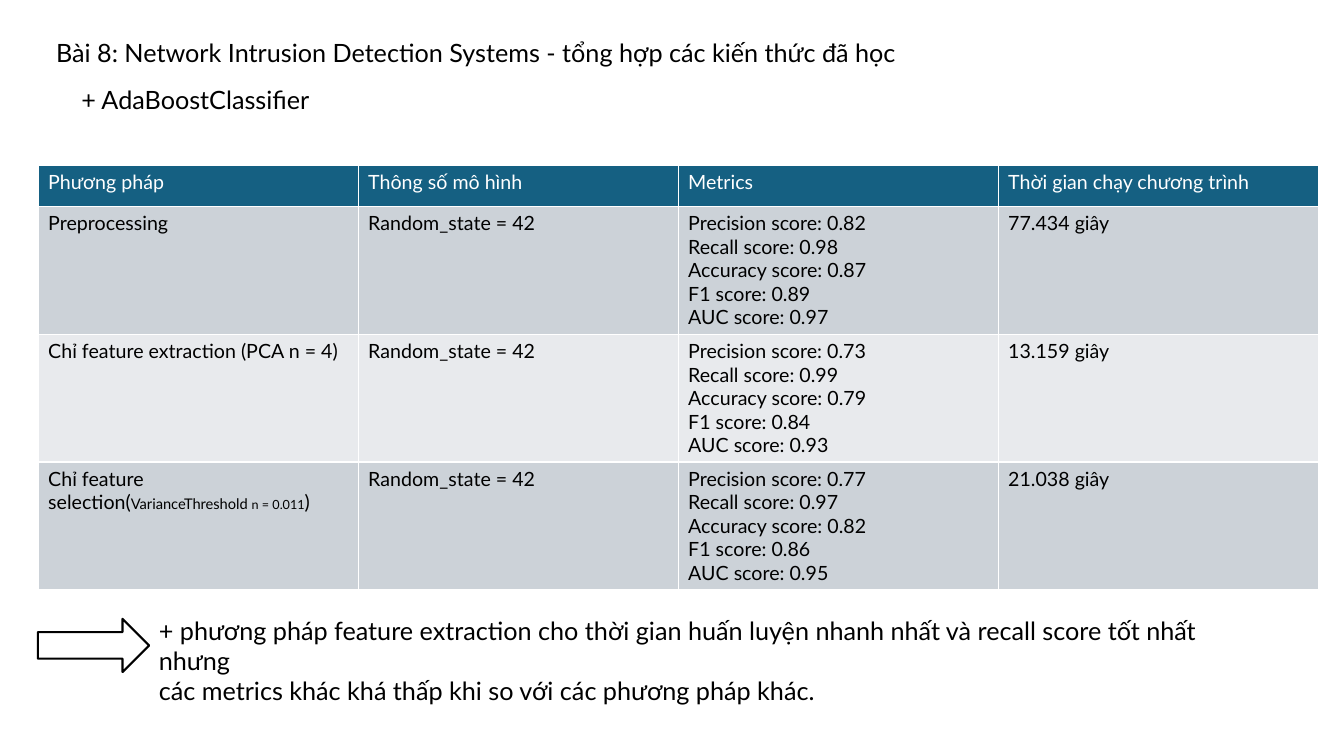
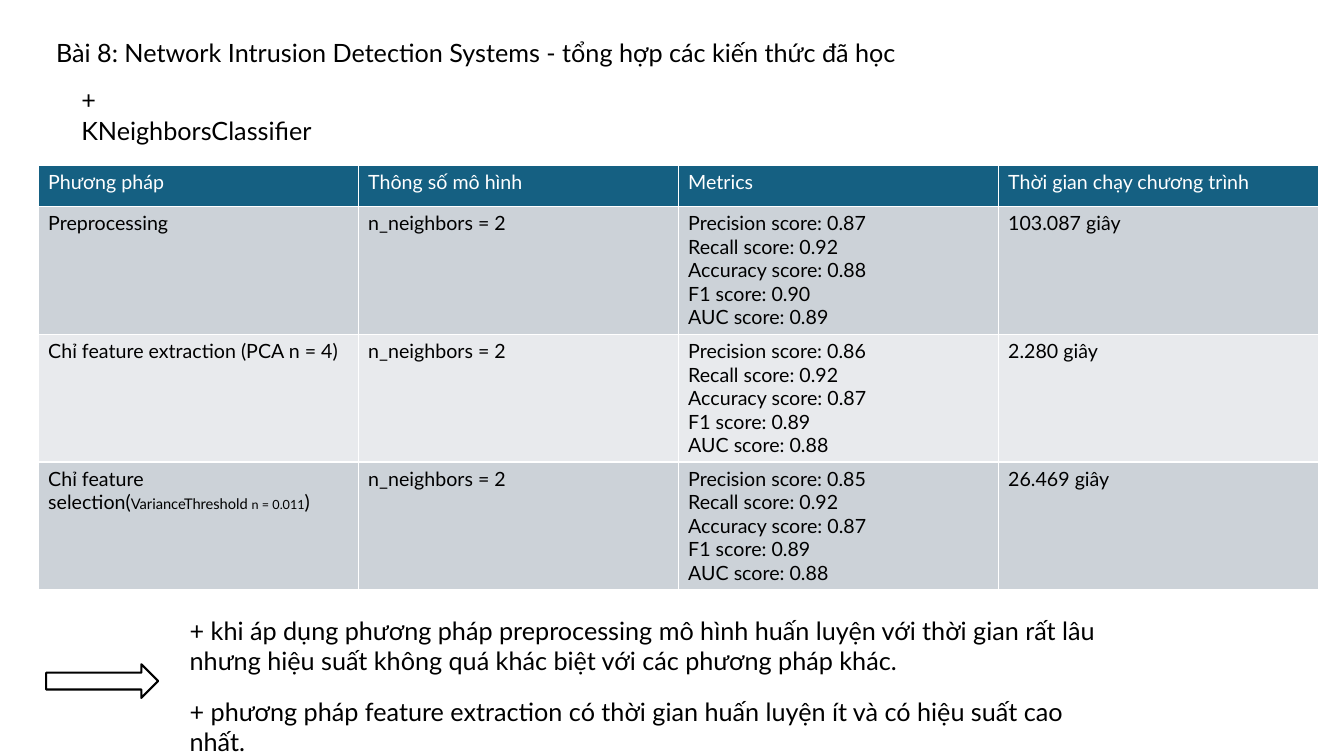
from dataclasses import dataclass

from lxml import etree
from pptx import Presentation
from pptx.dml.color import RGBColor
from pptx.enum.shapes import MSO_SHAPE as Shp
from pptx.enum.text import MSO_AUTO_SIZE as AutoSize
from pptx.oxml.ns import qn
from pptx.slide import Slide
from pptx.util import Pt

BLACK = RGBColor(0x00, 0x00, 0x00)
WHITE = RGBColor(0xFF, 0xFF, 0xFF)
TEAL = RGBColor(0x15, 0x60, 0x82)
BAND_DARK = RGBColor(0xCC, 0xD2, 0xD8)
BAND_LIGHT = RGBColor(0xE8, 0xEA, 0xED)

FONT = "Lato"
BODY_SIZE, CELL_SIZE = 18, 14
BLANK_LAYOUT = 6

TITLE = "Bài 8: Network Intrusion Detection Systems - tổng hợp các kiến thức đã học"
HEADERS = ("Phương pháp", "Thông số mô hình", "Metrics", "Thời gian chạy chương trình")
METRICS = ("Precision", "Recall", "Accuracy", "F1", "AUC")

TABLE_LEFT, TABLE_TOP = 27.2, 118.2
COL_WIDTH, HEADER_HEIGHT, ROW_HEIGHT = 228.6, 29.2, 91.2


@dataclass(frozen=True)
class Run:
    text: str
    size: float


@dataclass(frozen=True)
class Box:
    left: float
    top: float
    width: float
    height: float


@dataclass(frozen=True)
class Note:
    box: Box
    lines: tuple[str, ...]


@dataclass(frozen=True)
class Result:
    scores: tuple[float, ...]
    seconds: str


@dataclass(frozen=True)
class Model:
    name: str
    parameter: str
    results: tuple[Result, ...]
    arrow: Box
    notes: tuple[Note, ...]


Line = tuple[Run, ...]

METHODS: tuple[Line, ...] = (
    (Run("Preprocessing", CELL_SIZE),),
    (Run("Chỉ feature extraction (PCA n = 4)", CELL_SIZE),),
    (
        Run("Chỉ feature selection(", CELL_SIZE),
        Run("VarianceThreshold ", 10.5),
        Run("n = 0.011", 9),
        Run(")", CELL_SIZE),
    ),
)

TITLE_BOX = Box(33, 23, 770, 29)
MODEL_BOX = Box(51, 57, 180, 51)

MODELS = (
    Model(
        "AdaBoostClassifier",
        "Random_state = 42",
        (
            Result((0.82, 0.98, 0.87, 0.89, 0.97), "77.434"),
            Result((0.73, 0.99, 0.79, 0.84, 0.93), "13.159"),
            Result((0.77, 0.97, 0.82, 0.86, 0.95), "21.038"),
        ),
        Box(27, 442, 79.5, 38),
        (
            Note(Box(106.4, 435.6, 798, 51), (
                "+ phương pháp feature extraction cho thời gian huấn luyện nhanh nhất "
                "và recall score tốt nhất nhưng",
                "các metrics khác khá thấp khi so với các phương pháp khác.",
            )),
        ),
    ),
    Model(
        "KNeighborsClassifier",
        "n_neighbors = 2",
        (
            Result((0.87, 0.92, 0.88, 0.90, 0.89), "103.087"),
            Result((0.86, 0.92, 0.87, 0.89, 0.88), "2.280"),
            Result((0.85, 0.92, 0.87, 0.89, 0.88), "26.469"),
        ),
        Box(33, 474.5, 80, 24),
        (
            Note(Box(128.4, 435.6, 831.6, 51), (
                "+ khi áp dụng phương pháp preprocessing mô hình huấn luyện "
                "với thời gian rất lâu",
                "nhưng hiệu suất không quá khác biệt với các phương pháp khác.",
            )),
            Note(Box(128.4, 493.8, 668, 29), (
                "+ phương pháp feature extraction có thời gian huấn luyện ít "
                "và có hiệu suất cao nhất.",
            )),
        ),
    ),
)


def plain(lines: tuple[str, ...], size: float) -> tuple[Line, ...]:
    """Turn strings into one-run lines of the same size."""
    return tuple((Run(text, size),) for text in lines)


def write(tf, lines: tuple[Line, ...], color: RGBColor = BLACK) -> None:
    for i, line in enumerate(lines):
        p = tf.add_paragraph() if i else tf.paragraphs[0]
        for run in line:
            r = p.add_run()
            r.text = run.text
            for name, value in {"name": FONT, "size": Pt(run.size), "bold": False}.items():
                setattr(r.font, name, value)
            r.font.color.rgb = color


def add_text(s: Slide, box: Box, lines: tuple[str, ...]) -> None:
    tf = s.shapes.add_textbox(
        Pt(box.left), Pt(box.top), Pt(box.width), Pt(box.height)
    ).text_frame
    for name, value in {"word_wrap": True, "auto_size": AutoSize.SHAPE_TO_FIT_TEXT}.items():
        setattr(tf, name, value)
    write(tf, plain(lines, BODY_SIZE))


def add_arrow(s: Slide, box: Box) -> None:
    sp = s.shapes.add_shape(
        Shp.RIGHT_ARROW, Pt(box.left), Pt(box.top), Pt(box.width), Pt(box.height)
    )
    sp.shadow.inherit = False
    sp.fill.solid()
    sp.fill.fore_color.rgb = WHITE
    sp.line.color.rgb = BLACK
    sp.line.width = Pt(1.5)


def style_cell(cell, fill: RGBColor) -> None:
    """Give a cell thin white borders and a solid fill."""
    tc_pr = cell._tc.get_or_add_tcPr()
    for side in ("lnL", "lnR", "lnT", "lnB"):
        ln = etree.SubElement(tc_pr, qn(f"a:{side}"), w=str(Pt(1)))
        solid = etree.SubElement(ln, qn("a:solidFill"))
        etree.SubElement(solid, qn("a:srgbClr"), val=str(WHITE))
    cell.fill.solid()
    cell.fill.fore_color.rgb = fill


def add_results(s: Slide, model: Model) -> None:
    rows = [[plain((header,), CELL_SIZE) for header in HEADERS]]
    for method, result in zip(METHODS, model.results):
        scores = tuple(f"{m} score: {v:.2f}" for m, v in zip(METRICS, result.scores))
        rows.append([
            (method,),
            plain((model.parameter,), CELL_SIZE),
            plain(scores, CELL_SIZE),
            plain((f"{result.seconds} giây",), CELL_SIZE),
        ])
    heights = [HEADER_HEIGHT] + [ROW_HEIGHT] * len(model.results)
    table = s.shapes.add_table(
        len(rows), len(HEADERS), Pt(TABLE_LEFT), Pt(TABLE_TOP),
        Pt(COL_WIDTH * len(HEADERS)), Pt(sum(heights)),
    ).table
    for column in table.columns:
        column.width = Pt(COL_WIDTH)
    for i, (row, height) in enumerate(zip(rows, heights)):
        table.rows[i].height = Pt(height)
        fill = TEAL if i == 0 else BAND_DARK if i % 2 else BAND_LIGHT
        for j, lines in enumerate(row):
            cell = table.cell(i, j)
            style_cell(cell, fill)
            write(cell.text_frame, lines, BLACK if i else WHITE)


def add_model_slide(prs, model: Model) -> None:
    s = prs.slides.add_slide(prs.slide_layouts[BLANK_LAYOUT])
    add_text(s, TITLE_BOX, (TITLE,))
    add_text(s, MODEL_BOX, (f"+ {model.name}",))
    add_results(s, model)
    for note in model.notes:
        add_text(s, note.box, note.lines)
    add_arrow(s, model.arrow)


def main() -> None:
    prs = Presentation()
    prs.slide_width, prs.slide_height = Pt(960), Pt(540)
    for model in MODELS:
        add_model_slide(prs, model)
    prs.save("out.pptx")


if __name__ == "__main__":
    main()
